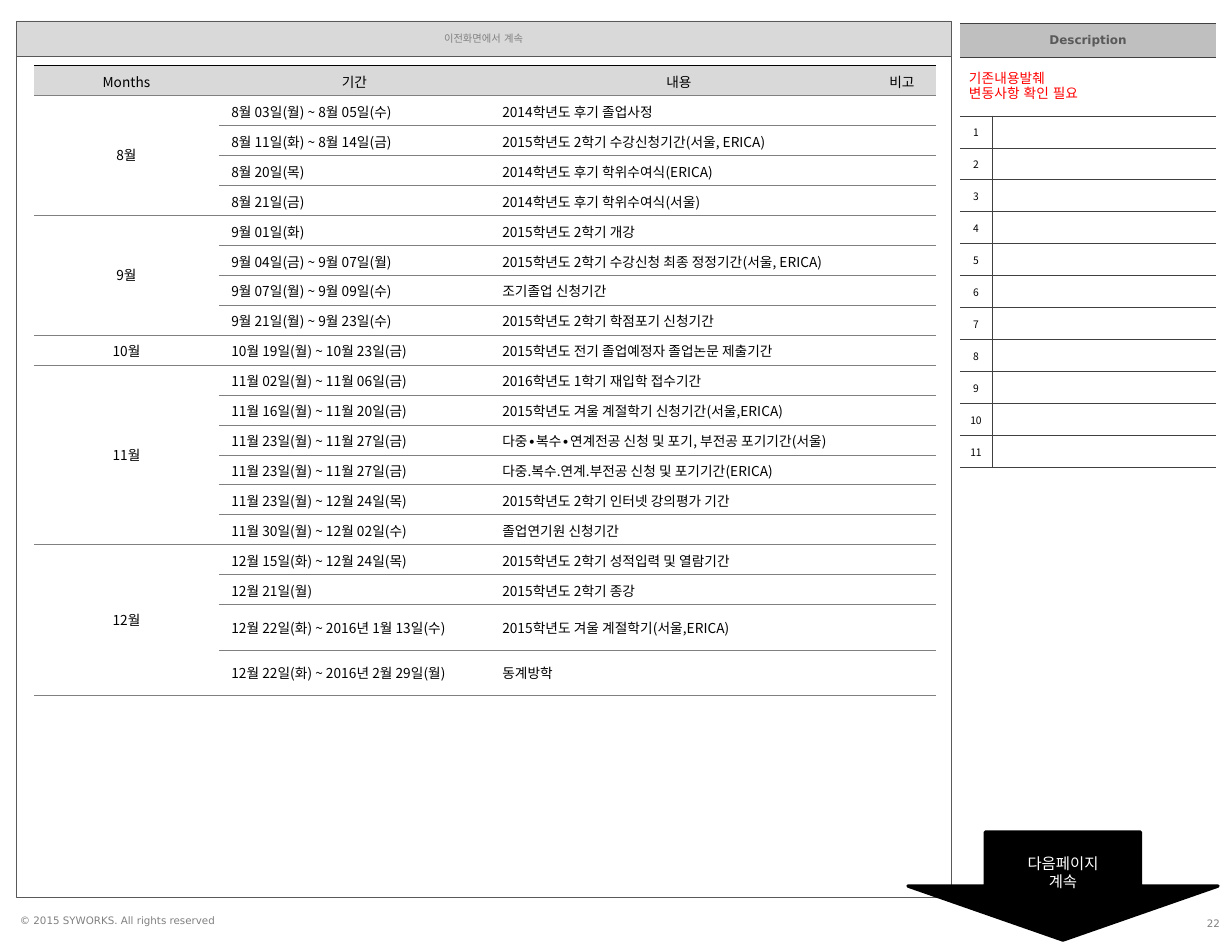
from lxml import etree
from pptx import Presentation
from pptx import util as u
from pptx.dml.color import RGBColor
from pptx.enum import shapes, text
from pptx.oxml.ns import qn

EMU_PER_PX = 7422
SANS, KOREAN = "DejaVu Sans", "Noto Sans CJK KR"
LEFT, CENTER, RIGHT = text.PP_ALIGN.LEFT, text.PP_ALIGN.CENTER, text.PP_ALIGN.RIGHT


def px(value):
    return u.Emu(value * EMU_PER_PX)


def color(hex_string):
    return RGBColor.from_string(hex_string)


class Wireframe:
    small = {"size": u.Pt(6), "name": SANS, "color": "808080"}
    label = {"size": u.Pt(6), "name": KOREAN, "color": "000000"}
    body = {"size": u.Pt(8), "name": KOREAN, "color": "000000"}
    heading = {"size": u.Pt(7), "name": SANS, "color": "595959", "bold": True}
    warning = {"size": u.Pt(8), "name": "Arial", "color": "FF0000"}
    callout = {"size": u.Pt(9), "name": KOREAN, "color": "FFFFFF"}

    def __init__(self, page):
        self.page = page

    def fill_text(self, frame, content, style, align=LEFT):
        for index, line in enumerate(content.split("\n")):
            para = frame.add_paragraph() if index else frame.paragraphs[0]
            para.alignment = align
            if not line:
                etree.SubElement(para._p, qn("a:endParaRPr"), sz=str(int(style["size"].pt * 100)))
                continue
            span = para.add_run()
            span.text = line
            for key, value in style.items():
                if key == "color":
                    span.font.color.rgb = color(value)
                else:
                    setattr(span.font, key, value)
            # East Asian glyphs need their own typeface entry
            etree.SubElement(span._r.get_or_add_rPr(), qn("a:ea"), typeface=style["name"])

    def shape(self, kind, bounds, fill, line, weight, content="", style=None):
        box = self.page.shapes.add_shape(kind, *map(px, bounds))
        box.shadow.inherit = False
        if fill:
            box.fill.solid()
            box.fill.fore_color.rgb = color(fill)
        else:
            box.fill.background()
        box.line.color.rgb = color(line)
        box.line.width = u.Pt(weight)
        box.text_frame.vertical_anchor = text.MSO_ANCHOR.MIDDLE
        if content:
            self.fill_text(box.text_frame, content, style, CENTER)

    def text(self, bounds, content, align=LEFT, **frame_format):
        frame = self.page.shapes.add_textbox(*map(px, bounds)).text_frame
        for key, value in frame_format.items():
            setattr(frame, key, value)
        self.fill_text(frame, content, self.small, align)

    def table(self, left, top, columns, rows):
        grid = self.page.shapes.add_table(
            len(rows), len(columns), px(left), px(top), px(sum(columns)), px(sum(rows))).table
        grid.first_row = grid.horz_banding = False
        for column, width in zip(grid.columns, columns):
            column.width = px(width)
        for row, height in zip(grid.rows, rows):
            row.height = px(height)
        return grid

    def cell(self, cell, content, style, align, fill, weight, borders, margins=()):
        properties = cell._tc.get_or_add_tcPr()
        for side in "LRTB":
            line = etree.SubElement(properties, qn(f"a:ln{side}"), w=str(int(u.Pt(weight))))
            if side in borders:
                solid = etree.SubElement(line, qn("a:solidFill"))
                etree.SubElement(solid, qn("a:srgbClr"), val=borders[side])
            else:
                etree.SubElement(line, qn("a:noFill"))
        cell.fill.solid()
        cell.fill.fore_color.rgb = color(fill)
        cell.vertical_anchor = text.MSO_ANCHOR.MIDDLE
        for side, margin in zip(("left", "right", "top", "bottom"), margins):
            setattr(cell, f"margin_{side}", px(margin))
        self.fill_text(cell.text_frame, content, style, align)


HEADINGS = ["Months", "기간", "내용", "비고"]
CALENDAR = {
    "8월": [
        ("8월 03일(월) ~ 8월 05일(수)", "2014학년도 후기 졸업사정"),
        ("8월 11일(화) ~ 8월 14일(금)", "2015학년도 2학기 수강신청기간(서울, ERICA)"),
        ("8월 20일(목)", "2014학년도 후기 학위수여식(ERICA)"),
        ("8월 21일(금)", "2014학년도 후기 학위수여식(서울)"),
    ],
    "9월": [
        ("9월 01일(화)", "2015학년도 2학기 개강"),
        ("9월 04일(금) ~ 9월 07일(월)", "2015학년도 2학기 수강신청 최종 정정기간(서울, ERICA)"),
        ("9월 07일(월) ~ 9월 09일(수)", "조기졸업 신청기간"),
        ("9월 21일(월) ~ 9월 23일(수)", "2015학년도 2학기 학점포기 신청기간"),
    ],
    "10월": [
        ("10월 19일(월) ~ 10월 23일(금)", "2015학년도 전기 졸업예정자 졸업논문 제출기간"),
    ],
    "11월": [
        ("11월 02일(월) ~ 11월 06일(금)", "2016학년도 1학기 재입학 접수기간"),
        ("11월 16일(월) ~ 11월 20일(금)", "2015학년도 겨울 계절학기 신청기간(서울,ERICA)"),
        ("11월 23일(월) ~ 11월 27일(금)", "다중∙복수∙연계전공 신청 및 포기, 부전공 포기기간(서울)"),
        ("11월 23일(월) ~ 11월 27일(금)", "다중.복수.연계.부전공 신청 및 포기기간(ERICA)"),
        ("11월 23일(월) ~ 12월 24일(목)", "2015학년도 2학기 인터넷 강의평가 기간"),
        ("11월 30일(월) ~ 12월 02일(수)", "졸업연기원 신청기간"),
    ],
    "12월": [
        ("12월 15일(화) ~ 12월 24일(목)", "2015학년도 2학기 성적입력 및 열람기간"),
        ("12월 21일(월)", "2015학년도 2학기 종강"),
        ("12월 22일(화) ~ 2016년 1월 13일(수)", "2015학년도 겨울 계절학기(서울,ERICA)"),
        ("12월 22일(화) ~ 2016년 2월 29일(월)", "동계방학"),
    ],
}


def add_description(wire):
    grid = wire.table(960, 23, [32, 224], [34, 59] + [32] * 11)
    lines = {"T": "404040", "B": "404040"}
    margins = (9, 9, 5, 5)
    banners = [("Description", wire.heading, CENTER, "BFBFBF"),
               ("기존내용발췌\n변동사항 확인 필요", wire.warning, LEFT, "FFFFFF")]
    for row, banner in enumerate(banners):
        grid.cell(row, 0).merge(grid.cell(row, 1))
        wire.cell(grid.cell(row, 0), *banner, 0.5, lines, margins)
    for number in range(1, 12):
        row = number + 1
        wire.cell(grid.cell(row, 0), str(number), wire.label, CENTER, "FFFFFF", 0.5,
                  {**lines, "R": "404040"}, margins)
        wire.cell(grid.cell(row, 1), "", wire.label, LEFT, "FFFFFF", 0.5,
                  {**lines, "L": "404040"}, margins)


def add_calendar(wire):
    lines = {"T": "808080", "B": "808080"}
    entries = [(month if index == 0 else "", *event, "")
               for month, events in CALENDAR.items() for index, event in enumerate(events)]
    grid = wire.table(34, 65, [185, 271, 378, 68], [30] * (len(entries) + 1))
    for column, heading in enumerate(HEADINGS):
        wire.cell(grid.cell(0, column), heading, wire.body, CENTER, "D9D9D9", 0.25,
                  {**lines, "T": "000000"})
    for row, entry in enumerate(entries, 1):
        for column, content in enumerate(entry):
            wire.cell(grid.cell(row, column), content, wire.body,
                      LEFT if column else CENTER, "FFFFFF", 0.25, lines)
    first = 1
    for events in CALENDAR.values():
        last = first + len(events) - 1
        if last > first:
            grid.cell(first, 0).merge(grid.cell(last, 0))
        first = last + 1


def main():
    deck = Presentation()
    deck.slide_width, deck.slide_height = px(1232), px(946)
    wire = Wireframe(deck.slides.add_slide(deck.slide_layouts[6]))

    # Screen frame and title bar
    rectangle = shapes.MSO_SHAPE.RECTANGLE
    wire.shape(rectangle, (16, 21, 935, 876), None, "595959", 0.25)
    wire.shape(rectangle, (16, 21, 935, 35), "D9D9D9", "595959", 0.25,
               "이전화면에서 계속", wire.small)

    # Footer
    wire.text((20, 914, 201, 12), "© 2015 SYWORKS. All rights reserved", word_wrap=False,
              margin_left=0, margin_top=0, margin_right=0, margin_bottom=0)
    wire.text((1174, 906, 58, 34), "22", RIGHT, word_wrap=True,
              vertical_anchor=text.MSO_ANCHOR.MIDDLE)

    # Description panel, continuation arrow and academic calendar
    add_description(wire)
    wire.shape(shapes.MSO_SHAPE.DOWN_ARROW, (908, 832, 310, 108), "000000", "000000", 2,
               "다음페이지\n계속", wire.callout)
    add_calendar(wire)
    deck.save("out.pptx")


if __name__ == "__main__":
    main()
